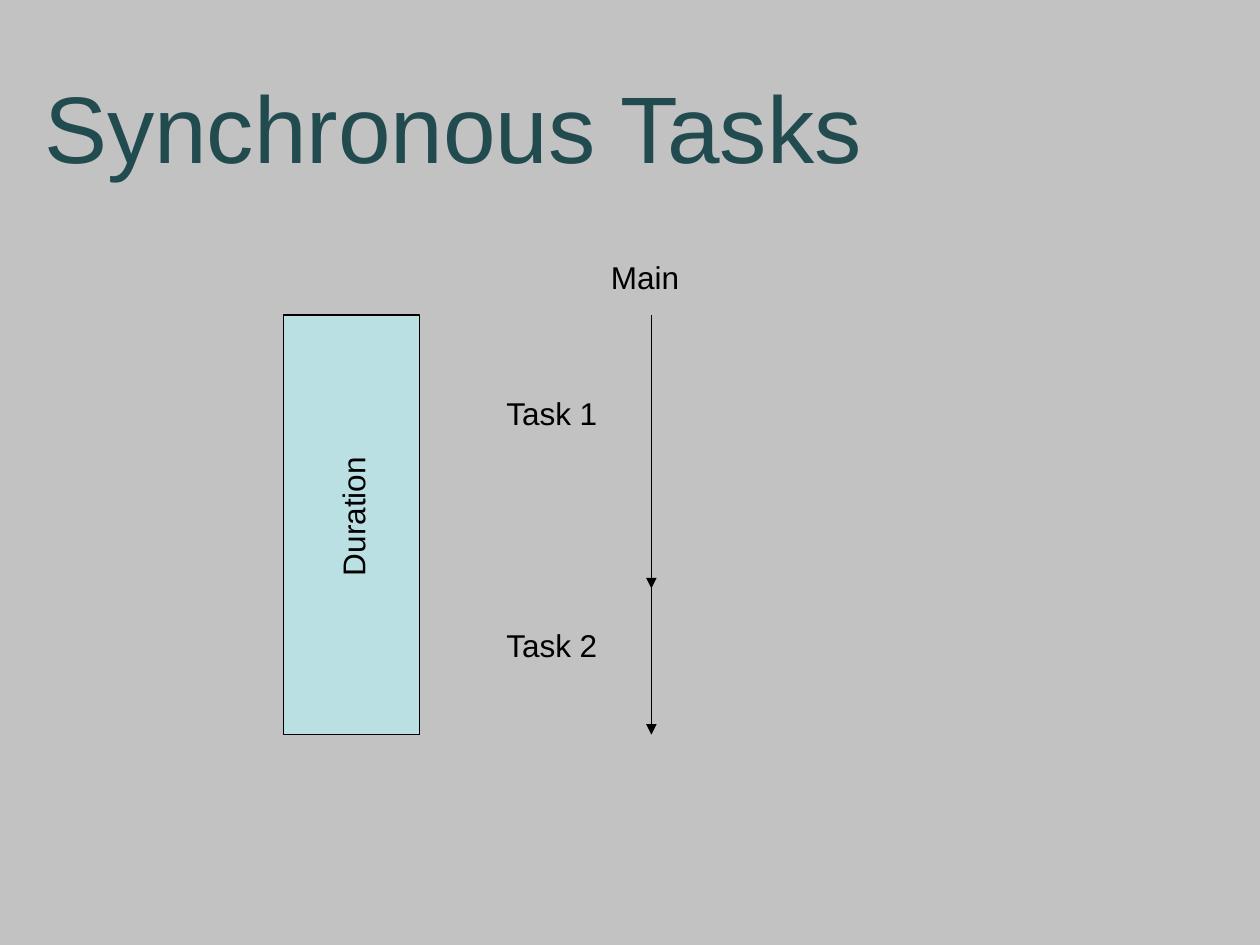
import pptx
import pptx.util
import pptx.dml.color
import pptx.enum.shapes
import pptx.enum.text
import pptx.oxml
import pptx.oxml.ns

Inches = pptx.util.Inches
Pt = pptx.util.Pt
FONT = "Arial"
COLORS = {"back": "C2C2C2", "title": "224B50", "ink": "000000", "bar": "BBE0E3"}
TOP, MID, END = 2.5, 4.67, 5.83
AXIS = 5.17


def color(name):
    return pptx.dml.color.RGBColor.from_string(COLORS[name])


def write(shape, text, size, tint):
    frame = shape.text_frame
    frame.word_wrap = True
    frame.text = text
    para = frame.paragraphs[0]
    para.alignment = pptx.enum.text.PP_ALIGN.LEFT
    font = para.runs[0].font
    font.name, font.size = FONT, Pt(size)
    font.color.rgb = color(tint)


def add_title(slide, text):
    title = slide.shapes.title
    title.left, title.top = Inches(0.25), Inches(0.5)
    title.width, title.height = Inches(7.25), Inches(1)
    write(title, text, 54, "title")
    title.text_frame.vertical_anchor = pptx.enum.text.MSO_ANCHOR.BOTTOM


def add_label(slide, text, left, top, width=1, turn=0):
    box = slide.shapes.add_textbox(
        Inches(left), Inches(top), Inches(width), Inches(0.4))
    box.rotation = turn
    write(box, text, 18, "ink")


def add_bar(slide, left, top, width, height):
    bar = slide.shapes.add_shape(
        pptx.enum.shapes.MSO_SHAPE.RECTANGLE,
        Inches(left), Inches(top), Inches(width), Inches(height))
    bar.shadow.inherit = False
    bar.fill.solid()
    bar.fill.fore_color.rgb = color("bar")
    bar.line.color.rgb = color("ink")
    bar.line.width = Pt(0.75)


def add_arrow(slide, x, start, stop):
    """Draw a downward arrow with a triangle at its lower end."""
    arrow = slide.shapes.add_connector(
        pptx.enum.shapes.MSO_CONNECTOR.STRAIGHT,
        Inches(x), Inches(start), Inches(x), Inches(stop))
    arrow.line.color.rgb = color("ink")
    arrow.line.width = Pt(0.75)
    space = pptx.oxml.ns.nsdecls("a")
    head = pptx.oxml.parse_xml(f'<a:tailEnd {space} type="triangle"/>')
    arrow.line._get_or_add_ln().append(head)
    arrow._element.spPr.append(pptx.oxml.parse_xml(f"<a:effectLst {space}/>"))


def main():
    deck = pptx.Presentation()
    deck.slide_width, deck.slide_height = Inches(10), Inches(7.5)
    slide = deck.slides.add_slide(deck.slide_layouts[5])
    slide.background.fill.solid()
    slide.background.fill.fore_color.rgb = color("back")

    add_title(slide, "Synchronous Tasks")
    for start, stop in ((TOP, MID), (MID, END)):
        add_arrow(slide, AXIS, start, stop)
    for text, top in (("Task 1", 3.08), ("Task 2", 4.92)):
        add_label(slide, text, 3.92, top)
    add_label(slide, "Main", 4.75, 2)
    add_bar(slide, 2.25, TOP, 1.08, END - TOP)
    add_label(slide, "Duration", 2.09, 3.76, width=1.42, turn=270)
    deck.save("out.pptx")


if __name__ == "__main__":
    main()
